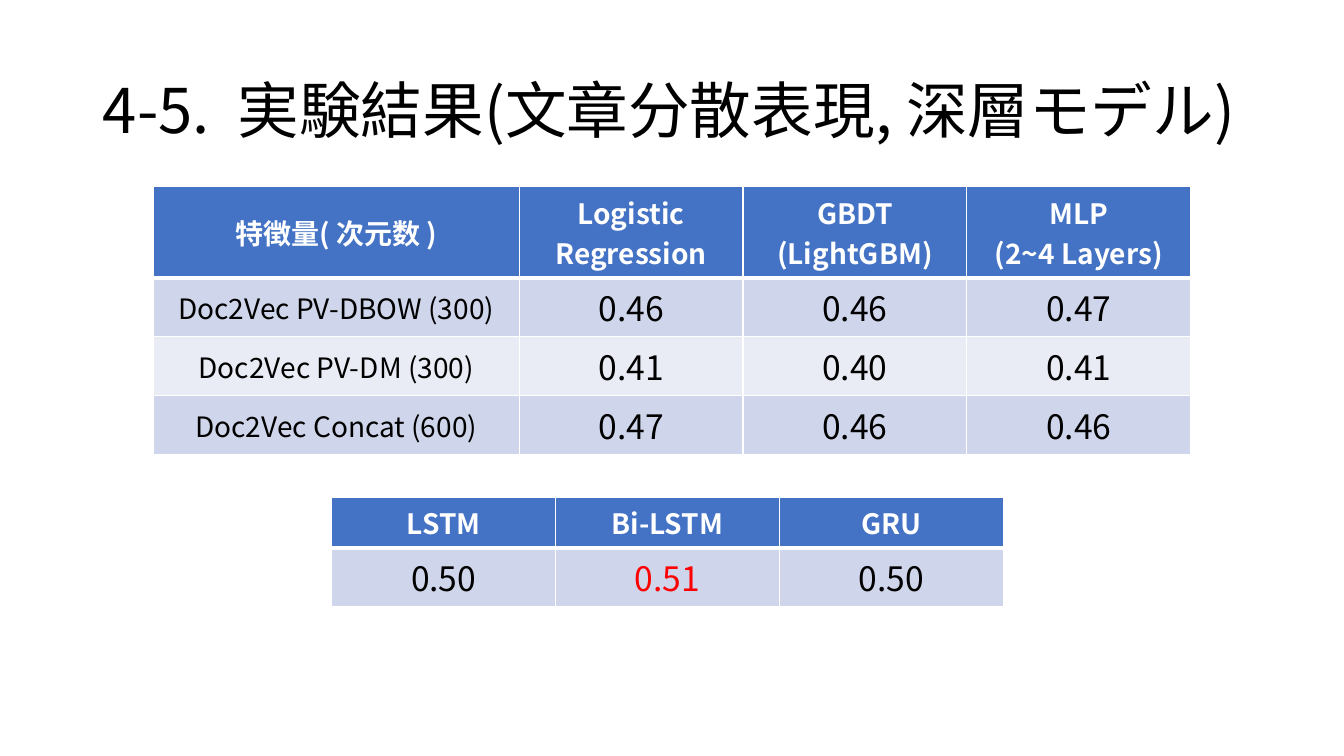
from lxml import etree
from pptx import Presentation
from pptx.dml.color import RGBColor
from pptx.enum import text
from pptx.oxml.ns import qn
from pptx.util import Inches, Pt

# Content
TITLE = "4-5.  実験結果(文章分散表現, 深層モデル)"
FEATURE_SCORES = [
    ["特徴量( 次元数 )", "Logistic Regression", "GBDT\n(LightGBM)", "MLP\n(2~4 Layers)"],
    ["Doc2Vec PV-DBOW (300)", "0.46", "0.46", "0.47"],
    ["Doc2Vec PV-DM (300)", "0.41", "0.40", "0.41"],
    ["Doc2Vec Concat (600)", "0.47", "0.46", "0.46"],
]
DEEP_SCORES = [["LSTM", "Bi-LSTM", "GRU"], ["0.50", "0.51", "0.50"]]
BEST = "0.51"

# Style
FONT = "Noto Sans CJK JP"
COLORS = {"header": "4472C4", "odd": "CFD5EA", "even": "E9EBF5",
          "white": "FFFFFF", "text": "000000", "best": "FF0000"}
LABEL_W, SCORE_W, ROW_H = 3.63, 2.22, 0.41


def add_run(p, words, size, color, bold=False):
    r = p.add_run()
    r.text = words
    r.font.size, r.font.bold, r.font.name = Pt(size), bold, FONT
    r.font.color.rgb = RGBColor.from_string(COLORS[color])
    etree.SubElement(r.font._element, qn("a:ea"), typeface=FONT)


def set_borders(cell, bottom):
    tc_pr = cell._tc.get_or_add_tcPr()
    for i, side in enumerate("LRTB"):
        width = bottom if side == "B" else 1
        ln = etree.Element(qn("a:ln" + side), w=str(Pt(width)))
        fill = etree.SubElement(ln, qn("a:solidFill"))
        etree.SubElement(fill, qn("a:srgbClr"), val=COLORS["white"])
        tc_pr.insert(i, ln)


def add_scores(s, rows, left, top, widths):
    frame = s.shapes.add_table(len(rows), len(widths), Inches(left), Inches(top),
                               Inches(sum(widths)), Inches(ROW_H * len(rows)))
    table = frame.table
    for column, width in zip(table.columns, widths):
        column.width = Inches(width)
    for i, row in enumerate(rows):
        header = i == 0
        band = "header" if header else "odd" if i % 2 else "even"
        for j, words in enumerate(row):
            cell = table.cell(i, j)
            cell.fill.solid()
            cell.fill.fore_color.rgb = RGBColor.from_string(COLORS[band])
            cell.vertical_anchor = text.MSO_ANCHOR.MIDDLE
            set_borders(cell, 3 if header else 1)
            is_score = not header and words[0] == "0"
            color = "white" if header else "best" if words == BEST else "text"
            tf = cell.text_frame
            for k, line in enumerate(words.split("\n")):
                p = tf.add_paragraph() if k else tf.paragraphs[0]
                p.alignment = text.PP_ALIGN.CENTER
                add_run(p, line, 24 if is_score else 20, color, header)


prs = Presentation()
prs.slide_width, prs.slide_height = Inches(13.33), Inches(7.5)
s = prs.slides.add_slide(prs.slide_layouts[5])

# Title
title = s.shapes.title
title.left, title.top, title.width, title.height = map(Inches, (0.92, 0.4, 11.5, 1.45))
tf = title.text_frame
tf.word_wrap = True
tf.auto_size = text.MSO_AUTO_SIZE.NONE
tf.vertical_anchor = text.MSO_ANCHOR.MIDDLE
p = tf.paragraphs[0]
p.alignment, p.line_spacing = text.PP_ALIGN.LEFT, 0.9
add_run(p, TITLE, 44, "text")

# Score tables
add_scores(s, FEATURE_SCORES, 1.52, 1.85, [LABEL_W] + [SCORE_W] * 3)
add_scores(s, DEEP_SCORES, 3.29, 4.93, [SCORE_W] * 3)

prs.save("out.pptx")
